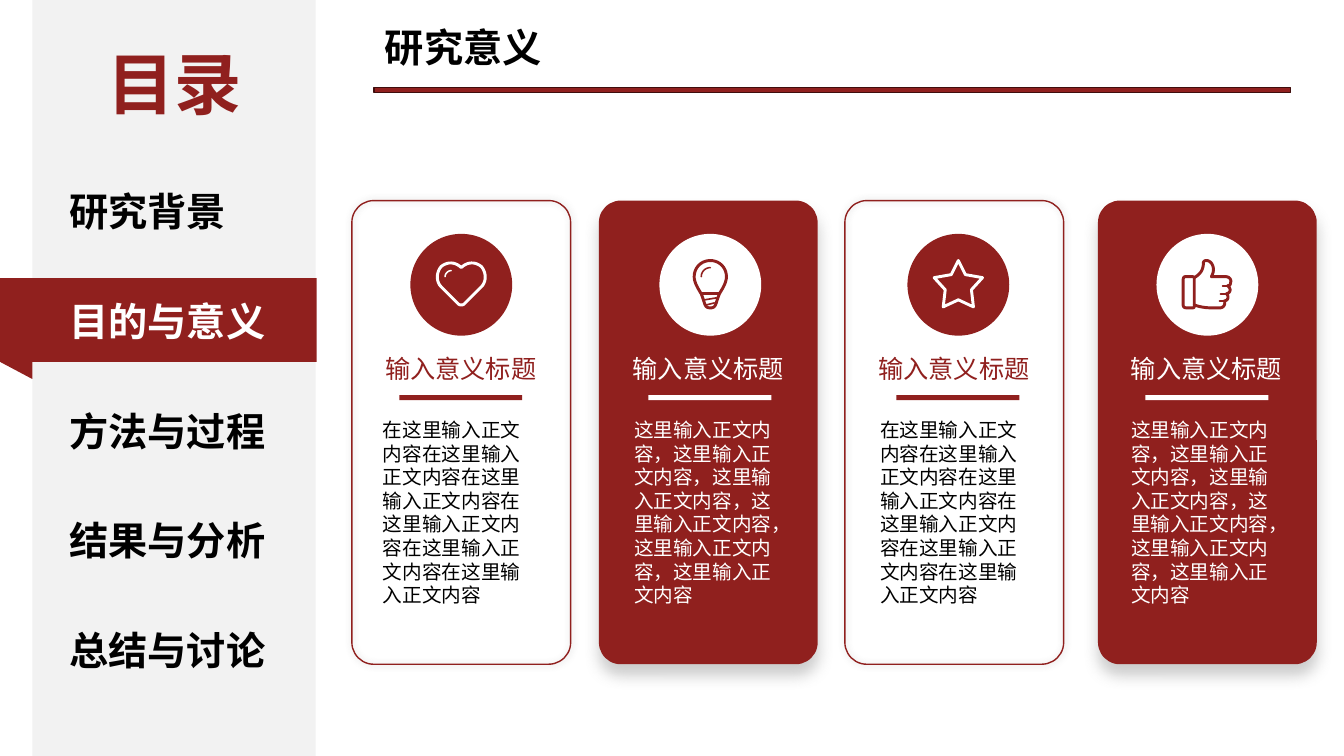
from dataclasses import dataclass
from typing import NamedTuple, Optional

import pptx
import pptx.dml.color
import pptx.enum.shapes
import pptx.enum.text
import pptx.oxml
import pptx.oxml.ns
import pptx.util
from lxml import etree

EMU_PER_PX = 9144
CURVE_STEPS = 10
PRESET = pptx.enum.shapes.MSO_SHAPE
ALIGN = pptx.enum.text.PP_ALIGN
qn = pptx.oxml.ns.qn


@dataclass(frozen=True)
class Theme:
    font: str = "Noto Sans CJK SC"
    red: str = "90201E"
    dark_red: str = "3F0E0D"
    white: str = "FFFFFF"
    black: str = "000000"
    panel: str = "F2F2F2"
    shadow: str = "808080"
    contents_size: int = 48
    heading_size: int = 28
    title_size: int = 18
    body_size: int = 14
    leading: float = 1.2


THEME = Theme()


class Box(NamedTuple):
    left: int
    top: int
    width: int
    height: int


class Shadow(NamedTuple):
    blur_pt: int
    distance_pt: int
    degrees: int


class Stroke(NamedTuple):
    """Segments hold 2 numbers for a line and 6 for a cubic, measured from the badge centre."""
    start: tuple[int, int]
    segments: tuple[tuple[int, ...], ...]
    weight: float = 2.1
    mirrored: bool = False


@dataclass(frozen=True)
class Card:
    left: int
    badge_left: int
    title_left: int
    title_width: int
    filled: bool
    icon: tuple[Stroke, ...]


HEART = (
    Stroke((0, -17), ((-6, -23, -14, -23, -20, -18), (-25, -12, -25, -3, -20, 2),
                      (-3, 19), (-2, 20, -1, 20, 0, 20)), mirrored=True),
    Stroke((-10, -14), ((-13, -14, -16, -11, -16, -8),), 1.1),
)
BULB = (
    Stroke((0, -24), ((-9, -24, -16, -17, -16, -8), (-16, -2, -12, 4, -9, 9),
                      (-5, 19, -6, 23, 0, 23)), mirrored=True),
    Stroke((-9, 9), ((9, 9),)),
    Stroke((-6, 15), ((6, 13),), 1.2),
    Stroke((-4, 20), ((4, 18),), 1.2),
    Stroke((0, -17), ((-5, -17, -9, -13, -9, -8),), 1.1),
)
STAR = (Stroke((0, -24), ((-7, -10), (-24, -7), (-13, 5), (-15, 22), (0, 15)), mirrored=True),)
THUMB = (
    Stroke((-22, -8), ((-15, -8), (-13, -8, -13, -7, -13, -6), (-13, 21),
                       (-13, 22, -13, 23, -15, 23), (-20, 23), (-23, 23, -24, 22, -24, 20),
                       (-24, -5), (-24, -7, -23, -8, -22, -8))),
    Stroke((-13, -7), ((-6, -11, -4, -16, -4, -21), (-4, -23, -3, -24, -1, -24),
                       (3, -24, 6, -20, 6, -15), (6, -12, 5, -10, 4, -8), (18, -8),
                       (22, -8, 24, -5, 23, -2), (23, 0, 22, 1, 20, 1),
                       (24, 4, 23, 8, 19, 9), (22, 12, 20, 16, 17, 16),
                       (18, 20, 16, 23, 12, 23), (5, 23), (-2, 23, -8, 22, -13, 20))),
    Stroke((20, 1), ((15, 1),), 1.1),
    Stroke((19, 9), ((13, 9),), 1.1),
    Stroke((17, 16), ((12, 16),), 1.1),
)

CARDS = (
    Card(349, 407, 369, 176, False, HEART),
    Card(594, 654, 613, 179, True, BULB),
    Card(838, 900, 854, 184, False, STAR),
    Card(1089, 1147, 1109, 175, True, THUMB),
)
CARD_TITLE = "输入意义标题"
OUTLINED_BODY = "在这里输入正文内容" * 6
FILLED_BODY = "，".join(["这里输入正文内容"] * 6)
SECTIONS = ("研究背景", "目的与意义", "方法与过程", "结果与分析", "总结与讨论")
CURRENT_SECTION = 1
BADGE_SIZE = 101


def emu(px: float) -> int:
    return round(px * EMU_PER_PX)


def rgb(colour: str) -> pptx.dml.color.RGBColor:
    return pptx.dml.color.RGBColor.from_string(colour)


def set_line(shape, colour: Optional[str], weight: float = 1) -> None:
    if colour is None:
        shape.line.fill.background()
        return
    shape.line.color.rgb = rgb(colour)
    shape.line.width = pptx.util.Pt(weight)


def add_block(page, preset, box: Box, fill: Optional[str], line: Optional[str] = None):
    shape = page.shapes.add_shape(preset, *map(emu, box))
    shape.shadow.inherit = False
    if fill is None:
        shape.fill.background()
    else:
        shape.fill.solid()
        shape.fill.fore_color.rgb = rgb(fill)
    set_line(shape, line)
    return shape


def add_shadow(shape, shadow: Shadow) -> None:
    effects = shape._element.spPr.find(qn("a:effectLst"))
    outer = etree.SubElement(effects, qn("a:outerShdw"), {
        "blurRad": str(pptx.util.Pt(shadow.blur_pt)),
        "dist": str(pptx.util.Pt(shadow.distance_pt)),
        "dir": str(shadow.degrees * 60000), "algn": "ctr", "rotWithShape": "0"})
    colour = etree.SubElement(outer, qn("a:srgbClr"), val=THEME.shadow)
    etree.SubElement(colour, qn("a:alpha"), val="40000")


def add_text(page, box: Box, text: str, size: int, colour: str,
             bold: bool = False, align=ALIGN.LEFT) -> None:
    frame = page.shapes.add_textbox(*map(emu, box)).text_frame
    frame.word_wrap = True
    frame.auto_size = pptx.enum.text.MSO_AUTO_SIZE.SHAPE_TO_FIT_TEXT
    para = frame.paragraphs[0]
    para.alignment = align
    para.line_spacing = pptx.util.Pt(size * THEME.leading)
    span = para.add_run()
    span.text = text
    formats = {"name": THEME.font, "size": pptx.util.Pt(size), "bold": bold}
    for attribute, value in formats.items():
        setattr(span.font, attribute, value)
    span.font.color.rgb = rgb(colour)
    etree.SubElement(span._r.get_or_add_rPr(), qn("a:ea"), typeface=THEME.font)


def flatten(stroke: Stroke) -> list[tuple[float, float]]:
    """Turn lines and cubics into points, adding the right half if mirrored."""
    points: list[tuple[float, float]] = [stroke.start]
    for segment in stroke.segments:
        if len(segment) == 2:
            points.append((segment[0], segment[1]))
            continue
        corners = (points[-1], segment[:2], segment[2:4], segment[4:])
        for step in range(1, CURVE_STEPS + 1):
            t = step / CURVE_STEPS
            weights = ((1 - t) ** 3, 3 * t * (1 - t) ** 2, 3 * t * t * (1 - t), t ** 3)
            x, y = (sum(w * c[axis] for w, c in zip(weights, corners)) for axis in (0, 1))
            points.append((x, y))
    if stroke.mirrored:
        points += [(-x, y) for x, y in reversed(points[:-1])]
    return points


def add_stroke(page, stroke: Stroke, centre: tuple[float, float], colour: str) -> None:
    points = [(emu(centre[0] + x), emu(centre[1] + y)) for x, y in flatten(stroke)]
    closed = points[0] == points[-1]
    builder = page.shapes.build_freeform(*points[0])
    builder.add_line_segments(points[1:], close=closed)
    shape = builder.convert_to_shape()
    shape.shadow.inherit = False
    shape.fill.background()
    set_line(shape, colour, stroke.weight)
    outline = shape._element.spPr.find(qn("a:ln"))
    outline.set("cap", "rnd")
    etree.SubElement(outline, qn("a:round"))


def add_sidebar(page) -> None:
    add_block(page, PRESET.RECTANGLE, Box(32, 0, 281, 750), THEME.panel)
    add_block(page, PRESET.RECTANGLE, Box(0, 276, 314, 83), THEME.red)
    fold = add_block(page, PRESET.RIGHT_TRIANGLE, Box(0, 359, 32, 17), THEME.red)
    fold.rotation = 180
    add_text(page, Box(76, 37, 194, 91), "目录", THEME.contents_size, THEME.red, True, ALIGN.CENTER)
    for index, section in enumerate(SECTIONS):
        colour = THEME.white if index == CURRENT_SECTION else THEME.black
        box = Box(59, 181 + round(index * 435 / 4), 221, 57)
        add_text(page, box, section, THEME.heading_size, colour, True)


def add_card(page, card: Card) -> None:
    fill, accent = (THEME.red, THEME.white) if card.filled else (None, THEME.red)
    frame = add_block(page, PRESET.ROUNDED_RECTANGLE, Box(card.left, 199, 217, 460),
                      fill, None if card.filled else THEME.red)
    frame.adjustments[0] = 0.1
    add_shadow(frame, Shadow(11, 8, 90) if card.filled else Shadow(5, 0, 0))
    badge = Box(card.badge_left, 232, BADGE_SIZE, BADGE_SIZE)
    add_block(page, PRESET.OVAL, badge, accent)
    centre = (badge.left + BADGE_SIZE / 2, badge.top + BADGE_SIZE / 2)
    for stroke in card.icon:
        add_stroke(page, stroke, centre, THEME.red if card.filled else THEME.white)
    add_text(page, Box(card.title_left, 346, card.title_width, 40), CARD_TITLE,
             THEME.title_size, accent, align=ALIGN.CENTER)
    add_block(page, PRESET.RECTANGLE, Box(card.badge_left - 11, 392, 122, 5), accent)
    if card.filled:
        body, box, colour = FILLED_BODY, Box(card.badge_left - 35, 410, 170, 239), THEME.white
    else:
        body, box, colour = OUTLINED_BODY, Box(card.badge_left - 37, 410, 175, 222), THEME.black
    add_text(page, box, body, THEME.body_size, colour)


def main() -> None:
    deck = pptx.Presentation()
    deck.slide_width, deck.slide_height = emu(1333), emu(750)
    page = deck.slides.add_slide(deck.slide_layouts[6])
    add_sidebar(page)
    add_block(page, PRESET.RECTANGLE, Box(371, 87, 909, 5), THEME.red, THEME.dark_red)
    add_text(page, Box(372, 18, 493, 57), "研究意义", THEME.heading_size, THEME.black, True)
    for card in CARDS:
        add_card(page, card)
    deck.save("out.pptx")


if __name__ == "__main__":
    main()
